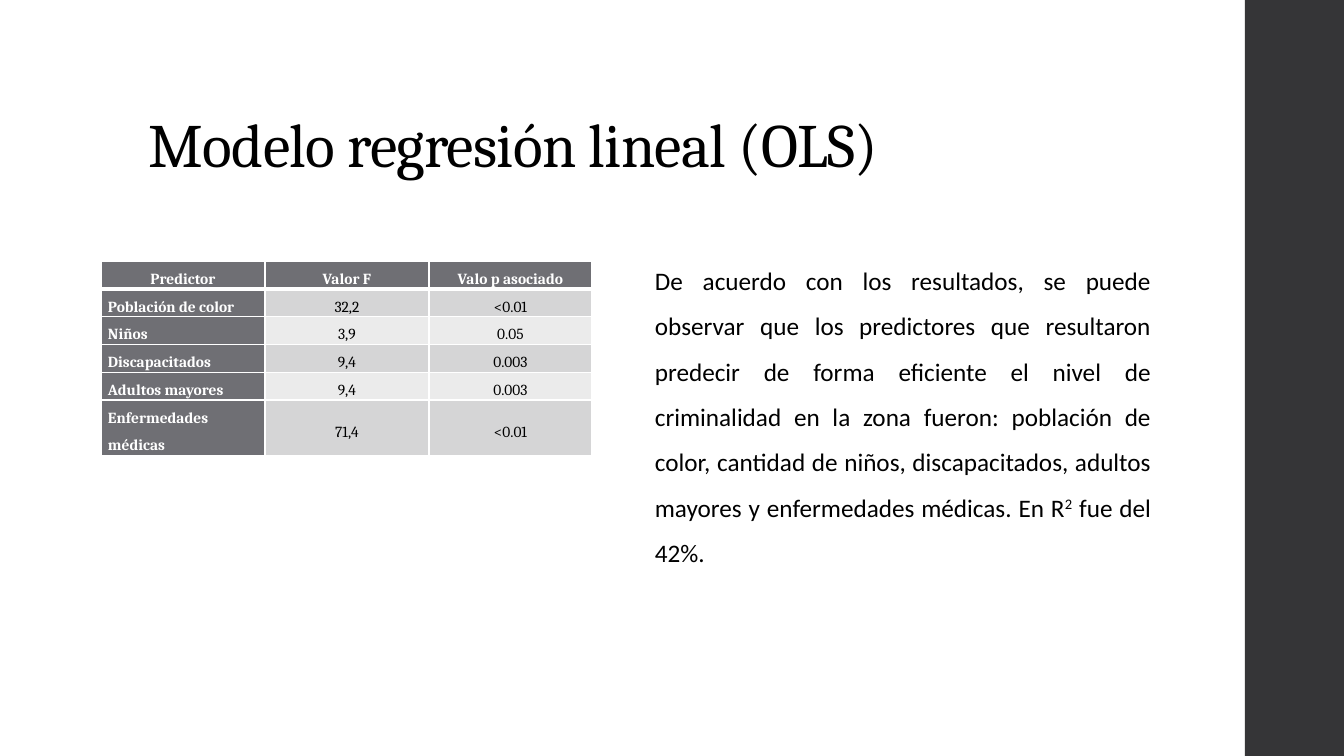
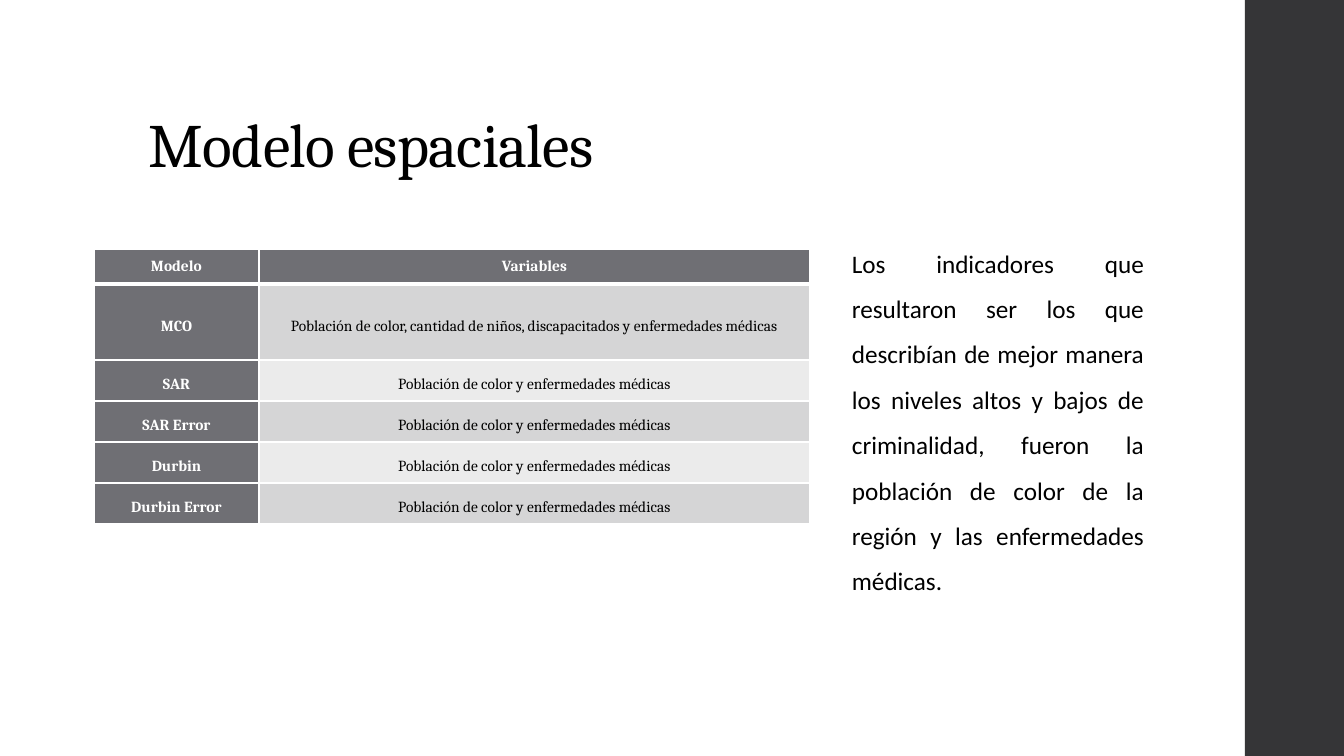
from dataclasses import dataclass

from lxml import etree
from pptx import Presentation
from pptx import util as u
from pptx.dml.color import RGBColor as Rgb
from pptx.enum import shapes, text
from pptx.oxml.ns import qn

PX = 914400 / 100.8  # EMU in one px
WIDE, HIGH = 1344, 756


@dataclass(frozen=True)
class Theme:
    ink: str = "000000"
    white: str = "FFFFFF"
    band: str = "353537"
    head: str = "6F6F74"
    rows: tuple = ("D5D5D6", "EBEBEB")
    serif: str = "Cambria"
    sans: str = "Calibri"
    title: int = 44
    body: int = 18
    cell: int = 11
    thin: int = 1
    thick: int = 3


def emu(*px):
    return [u.Emu(round(n * PX)) for n in px]


class Deck:
    def __init__(self, theme):
        self.theme = theme
        self.file = Presentation()
        self.file.slide_width, self.file.slide_height = emu(WIDE, HIGH)
        self.slide = None

    def page(self, title):
        """Start a slide with its side band and title."""
        t = self.theme
        self.slide = self.file.slides.add_slide(self.file.slide_layouts[6])
        band = self.slide.shapes.add_shape(
            shapes.MSO_SHAPE.RECTANGLE, *emu(1245, 0, WIDE - 1245, HIGH))
        band.shadow.inherit = False
        band.fill.solid()
        band.fill.fore_color.rgb = Rgb.from_string(t.band)
        band.line.fill.background()

        frame = self.box(139, 40, 1068, 146)
        frame.vertical_anchor = text.MSO_ANCHOR.BOTTOM
        para = frame.paragraphs[0]
        para.line_spacing = 0.9
        run = self.run(para, title, t.serif, t.title, t.ink)
        run.get_or_add_rPr().set("spc", "-50")

    def box(self, *rect):
        frame = self.slide.shapes.add_textbox(*emu(*rect)).text_frame
        frame.word_wrap = True
        return frame

    def run(self, para, words, face, size, color, bold=False):
        run = para.add_run()
        run.text = words
        font = run.font
        font.name, font.size, font.bold = face, u.Pt(size), bold
        font.color.rgb = Rgb.from_string(color)
        return run._r

    def body(self, rect, *parts):
        """Justified paragraph; every second part is a superscript."""
        t = self.theme
        para = self.box(*rect).paragraphs[0]
        para.alignment = text.PP_ALIGN.JUSTIFY
        para.line_spacing, para.space_after = 1.5, u.Pt(8)
        for i, words in enumerate(parts):
            run = self.run(para, words, t.sans, t.body, t.ink)
            if i % 2:
                run.get_or_add_rPr().set("baseline", "30000")

    def table(self, left, top, cols, highs, data, side, anchor):
        """Grid with dark head row and first column, and striped rows."""
        grid = self.slide.shapes.add_table(
            len(data), len(cols), *emu(left, top, sum(cols), sum(highs))).table
        grid.first_row = grid.horz_banding = False
        for col, wide in zip(grid.columns, emu(*cols)):
            col.width = wide
        for row, high in zip(grid.rows, emu(*highs)):
            row.height = high
        for r, line in enumerate(data):
            for c, words in enumerate(line):
                cell = grid.cell(r, c)
                cell.vertical_anchor = text.MSO_ANCHOR.MIDDLE if r else anchor
                align = side if r and not c else text.PP_ALIGN.CENTER
                self.cell(cell, words, r, c, align)

    def cell(self, cell, words, r, c, align):
        t = self.theme
        dark = r == 0 or c == 0
        cell.margin_left, cell.margin_right = emu(7, 7)
        cell.margin_top = cell.margin_bottom = 0
        cell.fill.solid()
        cell.fill.fore_color.rgb = Rgb.from_string(
            t.head if dark else t.rows[(r - 1) % 2])
        para = cell.text_frame.paragraphs[0]
        para.alignment, para.line_spacing = align, 1.5
        self.run(para, words, t.serif, t.cell, t.white if dark else t.ink, dark)
        # The rule under the head row is thick on both of its sides
        props = cell._tc.get_or_add_tcPr()
        for i, edge in enumerate(("lnL", "lnR", "lnT", "lnB")):
            thick = (r, edge) in ((0, "lnB"), (1, "lnT"))
            line = etree.Element(qn("a:" + edge))
            line.set("w", str(u.Pt(t.thick if thick else t.thin)))
            fill = etree.SubElement(line, qn("a:solidFill"))
            etree.SubElement(fill, qn("a:srgbClr")).set("val", t.white)
            props.insert(i, line)


def main():
    deck = Deck(Theme())

    # Linear model
    deck.page("Modelo regresión lineal (OLS)")
    deck.table(101, 261, [164, 164, 163], [26] * 5 + [53], [
        ("Predictor", "Valor F", "Valo p asociado"),
        ("Población de color", "32,2", "<0.01"),
        ("Niños", "3,9", "0.05"),
        ("Discapacitados", "9,4", "0.003"),
        ("Adultos mayores", "9,4", "0.003"),
        ("Enfermedades médicas", "71,4", "<0.01"),
    ], text.PP_ALIGN.LEFT, text.MSO_ANCHOR.MIDDLE)
    deck.body(
        (645, 245, 516, 326),
        "De acuerdo con los resultados, se puede observar que los predictores "
        "que resultaron predecir de forma eficiente el nivel de criminalidad "
        "en la zona fueron: población de color, cantidad de niños, "
        "discapacitados, adultos mayores y enfermedades médicas. En R",
        "2", " fue del 42%.")

    # Spatial models
    deck.page("Modelo espaciales")
    both = "Población de color y enfermedades médicas"
    names = ("SAR", "SAR Error", "Durbin", "Durbin Error")
    deck.table(94, 249, [165, 551], [35, 76] + [41] * 4, [
        ("Modelo", "Variables"),
        ("MCO", "Población de color, cantidad de niños, discapacitados y "
                "enfermedades médicas"),
        *((name, both) for name in names),
    ], text.PP_ALIGN.CENTER, text.MSO_ANCHOR.TOP)
    deck.body(
        (842, 228, 312, 372),
        "Los indicadores que resultaron ser los que describían de mejor manera "
        "los niveles altos y bajos de criminalidad, fueron la población de "
        "color de la región y las enfermedades médicas.")

    deck.file.save("out.pptx")


if __name__ == "__main__":
    main()
